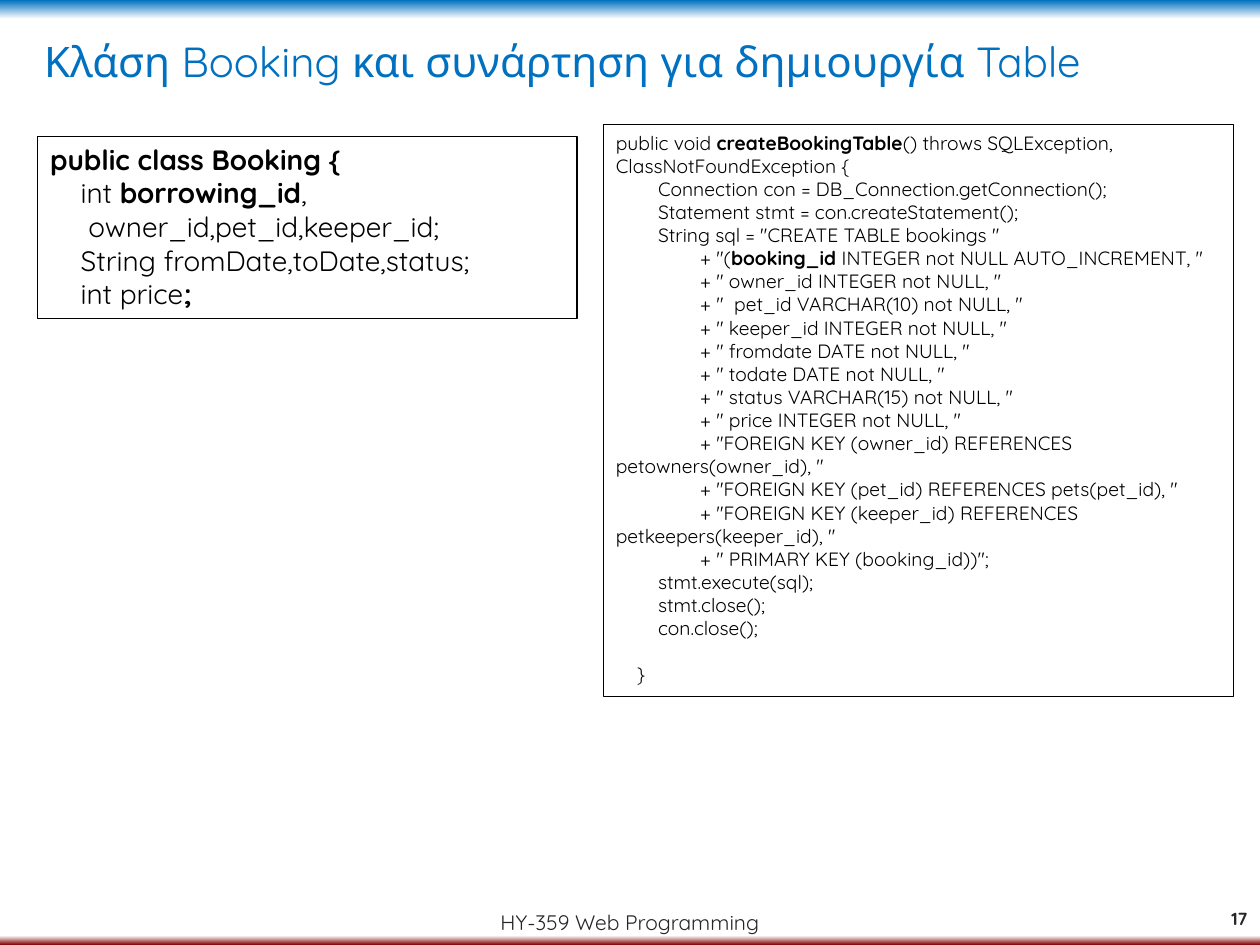
from dataclasses import dataclass

from lxml.etree import SubElement
from pptx import Presentation
from pptx.dml.color import RGBColor
from pptx.enum.shapes import MSO_SHAPE
from pptx.enum.text import MSO_ANCHOR, MSO_AUTO_SIZE, PP_ALIGN
from pptx.oxml.ns import qn
from pptx.slide import Slide
from pptx.text.text import Font, TextFrame
from pptx.util import Pt

FONT_NAME = "Quicksand"
BOLD_MARK = "**"
BACKGROUND_STOPS = [(0, "0070C0"), (2, "FFFFFF"), (99, "FFFFFF"), (100, "800000")]


@dataclass
class Area:
    left: float
    top: float
    width: float
    height: float

    def lengths(self) -> tuple:
        return Pt(self.left), Pt(self.top), Pt(self.width), Pt(self.height)


@dataclass
class CodeBox:
    area: Area
    size: float
    lines: list[str]
    closing_gap: float = 0


@dataclass
class Label:
    area: Area
    text: str
    size: float
    alignment: PP_ALIGN
    bold: bool = False


BOOKING_CLASS = [
    "**public class Booking {**",
    "    int **borrowing_id**,",
    "     owner_id,pet_id,keeper_id;",
    "    String fromDate,toDate,status;",
    "    int price**;**",
]

CREATE_TABLE = [
    "public void **createBookingTable**() throws SQLException, ClassNotFoundException {",
    "        Connection con = DB_Connection.getConnection();",
    "        Statement stmt = con.createStatement();",
    '        String sql = "CREATE TABLE bookings "',
    '                + "(**booking_id **INTEGER not NULL AUTO_INCREMENT, "',
    '                + " owner_id INTEGER not NULL, "',
    '                + "  pet_id VARCHAR(10) not NULL, "',
    '                + " keeper_id INTEGER not NULL, "',
    '                + " fromdate DATE not NULL, "',
    '                + " todate DATE not NULL, "',
    '                + " status VARCHAR(15) not NULL, "',
    '                + " price INTEGER not NULL, "',
    '                + "FOREIGN KEY (owner_id) REFERENCES petowners(owner_id), "',
    '                + "FOREIGN KEY (pet_id) REFERENCES pets(pet_id), "',
    '                + "FOREIGN KEY (keeper_id) REFERENCES petkeepers(keeper_id), "',
    '                + " PRIMARY KEY (booking_id))";',
    "        stmt.execute(sql);",
    "        stmt.close();",
    "        con.close();",
    "    }",
]

CODE_BOXES = [
    CodeBox(Area(21.6, 77.8, 308.2, 104.4), 16, BOOKING_CLASS),
    CodeBox(Area(344.9, 71.3, 360, 326.9), 11, CREATE_TABLE, closing_gap=13.2),
]
LABELS = [
    Label(Area(0, 510.5, 720, 32.4), "HY-359 Web Programming", 12, PP_ALIGN.CENTER),
    Label(Area(681.1, 510.5, 38.9, 28.8), "17", 10, PP_ALIGN.RIGHT, bold=True),
]


def color(value: str) -> RGBColor:
    return RGBColor.from_string(value)


def format_font(font: Font, size: float, value: str, bold: bool = False) -> None:
    font.name = FONT_NAME
    font.size = Pt(size)
    font.bold = bold
    font.color.rgb = color(value)


def set_up_frame(frame: TextFrame, anchor: MSO_ANCHOR) -> None:
    frame.word_wrap = True
    frame.auto_size = MSO_AUTO_SIZE.NONE
    frame.vertical_anchor = anchor


def paint_background(page: Slide) -> None:
    fill = page.background.fill
    fill.gradient()
    fill.gradient_angle = 270
    stop_list = next(page.element.iter(qn("a:gsLst")))
    for stop in list(stop_list):
        stop_list.remove(stop)
    for percent, value in BACKGROUND_STOPS:
        stop = SubElement(stop_list, qn("a:gs"), pos=str(percent * 1000))
        SubElement(stop, qn("a:srgbClr"), val=value)


def write_title(page: Slide, area: Area, text: str) -> None:
    title = page.shapes.title
    title.left, title.top, title.width, title.height = area.lengths()
    frame = title.text_frame
    set_up_frame(frame, MSO_ANCHOR.TOP)
    frame.text = text
    para = frame.paragraphs[0]
    para.alignment = PP_ALIGN.LEFT
    format_font(para.runs[0].font, 24, "0070C0")


def draw_label(page: Slide, label: Label) -> None:
    box = page.shapes.add_textbox(*label.area.lengths())
    frame = box.text_frame
    set_up_frame(frame, MSO_ANCHOR.MIDDLE)
    frame.text = label.text
    para = frame.paragraphs[0]
    para.alignment = label.alignment
    format_font(para.runs[0].font, label.size, "262626", label.bold)


def draw_code_box(page: Slide, code_box: CodeBox) -> None:
    box = page.shapes.add_shape(MSO_SHAPE.RECTANGLE, *code_box.area.lengths())
    box.shadow.inherit = False
    box.fill.background()
    box.line.color.rgb = color("000000")
    box.line.width = Pt(0.75)
    frame = box.text_frame
    set_up_frame(frame, MSO_ANCHOR.TOP)
    for index, line in enumerate(code_box.lines):
        para = frame.add_paragraph() if index else frame.paragraphs[0]
        para.alignment = PP_ALIGN.LEFT
        for position, part in enumerate(line.split(BOLD_MARK)):
            if part:
                span = para.add_run()
                span.text = part
                format_font(span.font, code_box.size, "000000", position % 2 == 1)
    if code_box.closing_gap:
        frame.paragraphs[-1].space_before = Pt(code_box.closing_gap)


def main() -> None:
    deck = Presentation()
    deck.slide_width, deck.slide_height = Pt(720), Pt(540)
    page = deck.slides.add_slide(deck.slide_layouts.get_by_name("Title Only"))
    paint_background(page)
    write_title(
        page,
        Area(18, 16.6, 708.5, 51.1),
        "Κλάση Booking και συνάρτηση για δημιουργία Table",
    )
    for label in LABELS:
        draw_label(page, label)
    for code_box in CODE_BOXES:
        draw_code_box(page, code_box)
    deck.save("out.pptx")


if __name__ == "__main__":
    main()
